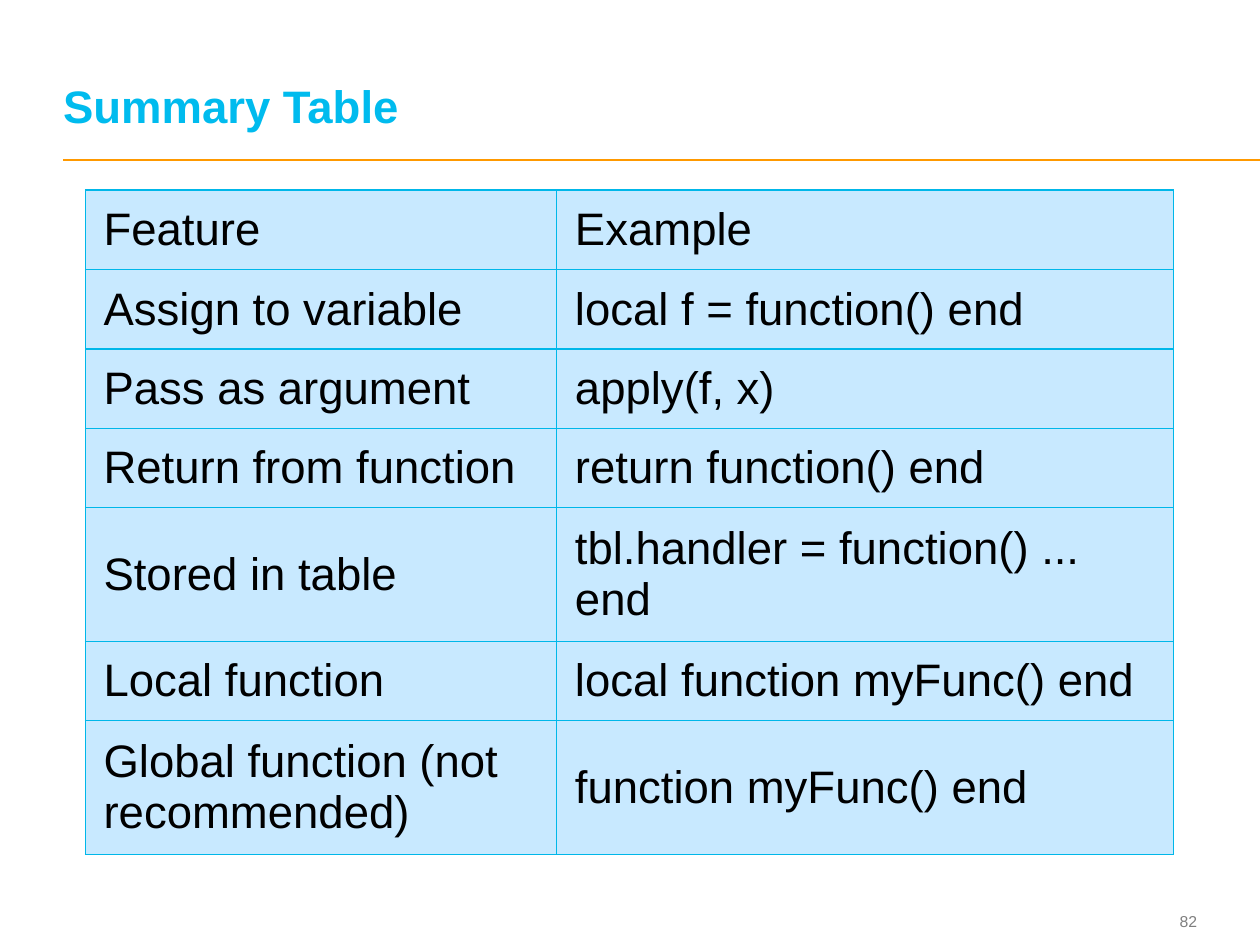
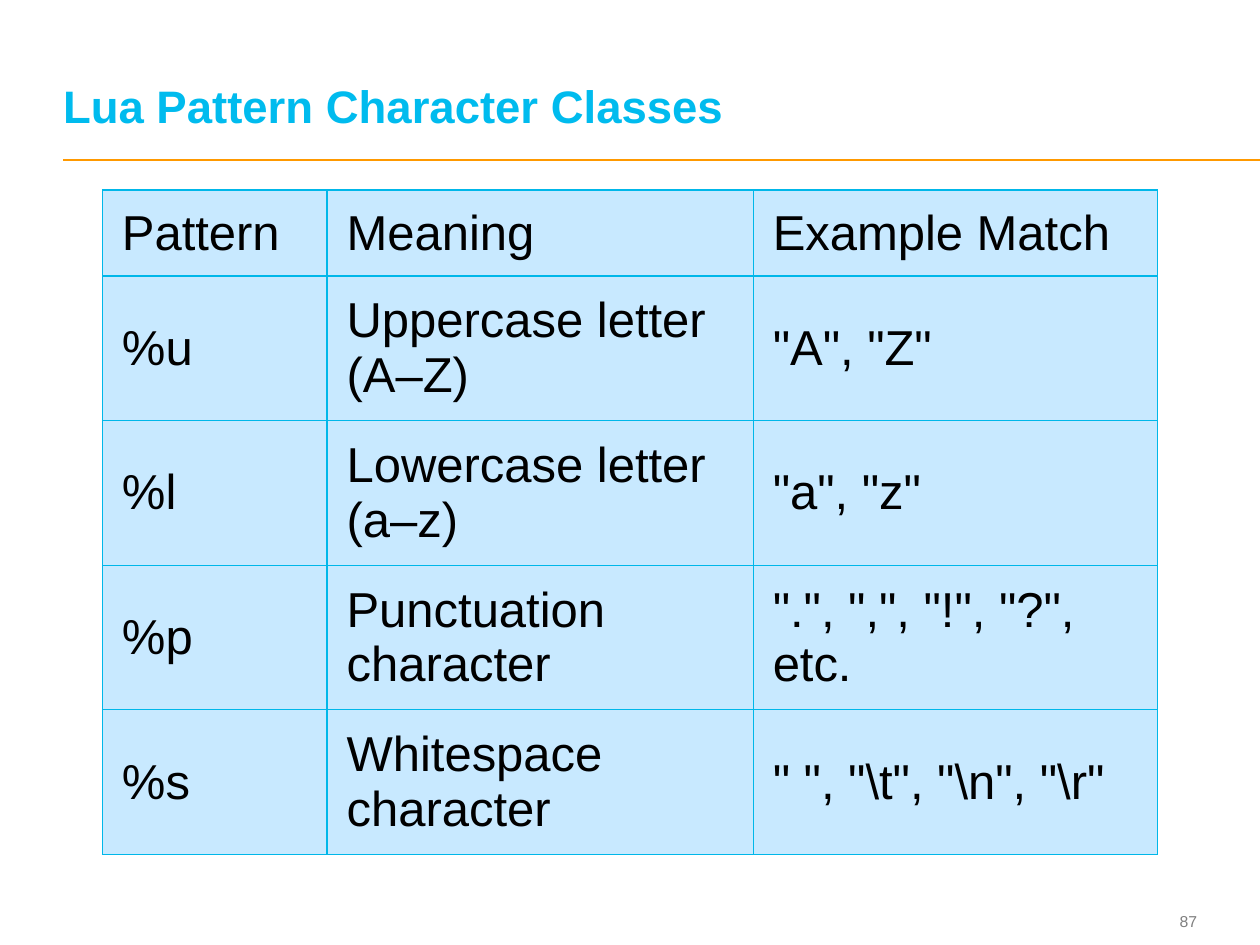
from dataclasses import dataclass

from lxml.etree import SubElement
from pptx import Presentation
from pptx.dml.color import RGBColor as RGB
from pptx.enum.shapes import MSO_CONNECTOR as CONN
from pptx.enum.text import MSO_ANCHOR as ANCHOR, PP_ALIGN as ALIGN
from pptx.oxml import parse_xml
from pptx.oxml.ns import nsdecls, qn
from pptx.util import Pt


@dataclass(frozen=True)
class Theme:
    """Colours, font and type sizes shared by the slides."""
    font: str = "Arial"
    title: str = "00BBEE"
    rule: str = "FF9900"
    border: str = "00B7E9"
    cell: str = "C8E9FF"
    text: str = "000000"
    muted: str = "7F7F7F"
    title_size: int = 26
    number_size: int = 9
    rule_width: float = 1
    border_width: float = 0.75


THEME = Theme()
SLIDE_SIZE = (720, 540)
RULE_BOX = (36, 91.44, 684, 0)
NUMBER_BOX = (641.5, 517, 42.5, 19.4)
TITLE_BOX = (36, 13.7, 645.8, 61.9)

SLIDES = [
    {
        "title": "Summary Table",
        "number": 82,
        "left_top": (48.8, 108.6),
        "size": 26,
        "cols": [269.4, 352.2],
        "heights": {1: 45.43, 2: 76.25},
        "lines": [1, 1, 1, 1, 2, 1, 2],
        "rows": [
            ("Feature", "Example"),
            ("Assign to variable", "local f = function() end"),
            ("Pass as argument", "apply(f, x)"),
            ("Return from function", "return function() end"),
            ("Stored in table", "tbl.handler = function() ... end"),
            ("Local function", "local function myFunc() end"),
            ("Global function (not recommended)", "function myFunc() end"),
        ],
    },
    {
        "title": "Lua Pattern Character Classes",
        "number": 87,
        "left_top": (58.5, 108.6),
        "size": 28,
        "cols": [128.4, 243.5, 231],
        "heights": {1: 49.1, 2: 82.65},
        "lines": [1, 2, 2, 2, 2],
        "rows": [
            ("Pattern", "Meaning", "Example Match"),
            ("%u", "Uppercase letter (A–Z)", '"A", "Z"'),
            ("%l", "Lowercase letter (a–z)", '"a", "z"'),
            ("%p", "Punctuation character", '".", ",", "!", "?", etc.'),
            ("%s", "Whitespace character", r'" ", "\t", "\n", "\r"'),
        ],
    },
]


def set_attrs(obj, **values):
    """Set every named attribute on an object."""
    for name, value in values.items():
        setattr(obj, name, value)


def write(tf, text, size, color, bold=False, **para):
    """Put one formatted paragraph into a text frame."""
    p = tf.paragraphs[0]
    set_attrs(p, **para)
    r = p.add_run()
    r.text = text
    set_attrs(r.font, name=THEME.font, size=Pt(size), bold=bold)
    r.font.color.rgb = RGB.from_string(color)


def clear_frame(tf, anchor):
    """Wrap a text frame, drop its margins and anchor it."""
    margins = {f"margin_{side}": 0 for side in ("left", "top", "right", "bottom")}
    set_attrs(tf, word_wrap=True, vertical_anchor=anchor, **margins)


def add_title(s, text, box):
    """Move and format the title placeholder."""
    sp = s.shapes.title
    set_attrs(sp, **dict(zip(("left", "top", "width", "height"), map(Pt, box))))
    clear_frame(sp.text_frame, ANCHOR.BOTTOM)
    write(sp.text_frame, text, THEME.title_size, THEME.title, bold=True,
          alignment=ALIGN.LEFT, line_spacing=Pt(THEME.title_size))


def add_rule(s, box):
    """Draw the rule below the title."""
    x, y, w, h = box
    line = s.shapes.add_connector(CONN.STRAIGHT, Pt(x), Pt(y), Pt(x + w), Pt(y + h))
    line.line.color.rgb = RGB.from_string(THEME.rule)
    line.line.width = Pt(THEME.rule_width)
    SubElement(line._element.spPr, qn("a:effectLst"))


def add_number(s, number, box):
    """Write the slide number at the lower right."""
    tf = s.shapes.add_textbox(*map(Pt, box)).text_frame
    clear_frame(tf, ANCHOR.MIDDLE)
    write(tf, str(number), THEME.number_size, THEME.muted, alignment=ALIGN.RIGHT)


def add_borders(cell):
    """Outline all four sides of a table cell."""
    tc_pr = cell._tc.get_or_add_tcPr()
    for i, side in enumerate("LRTB"):
        tc_pr.insert(i, parse_xml(
            f'<a:ln{side} {nsdecls("a")} w="{Pt(THEME.border_width)}">'
            f'<a:solidFill><a:srgbClr val="{THEME.border}"/></a:solidFill>'
            f'</a:ln{side}>'))


def fill_cell(cell, text, size):
    """Format one cell, with margins in proportion to its type size."""
    side, end = Pt(size * 0.4), Pt(size * 0.2)
    set_attrs(cell, vertical_anchor=ANCHOR.MIDDLE, margin_left=side,
              margin_right=side, margin_top=end, margin_bottom=end)
    cell.fill.solid()
    cell.fill.fore_color.rgb = RGB.from_string(THEME.cell)
    write(cell.text_frame, text, size, THEME.text)
    add_borders(cell)


def add_grid(s, data):
    """Add the table, with row heights set by the lines in each row."""
    rows, cols = data["rows"], data["cols"]
    heights = [data["heights"][n] for n in data["lines"]]
    box = (*data["left_top"], sum(cols), sum(heights))
    table = s.shapes.add_table(len(rows), len(cols), *map(Pt, box)).table
    set_attrs(table, first_row=False, horz_banding=False)
    for col, width in zip(table.columns, cols):
        col.width = Pt(width)
    for row, height, texts in zip(table.rows, heights, rows):
        row.height = Pt(height)
        for cell, text in zip(row.cells, texts):
            fill_cell(cell, text, data["size"])


def add_table_slide(prs, data):
    """Build one titled table slide."""
    s = prs.slides.add_slide(prs.slide_layouts[5])
    add_rule(s, RULE_BOX)
    add_number(s, data["number"], NUMBER_BOX)
    add_title(s, data["title"], TITLE_BOX)
    add_grid(s, data)


def main():
    """Build and save the presentation."""
    prs = Presentation()
    prs.slide_width, prs.slide_height = map(Pt, SLIDE_SIZE)
    for data in SLIDES:
        add_table_slide(prs, data)
    prs.save("out.pptx")


if __name__ == "__main__":
    main()
